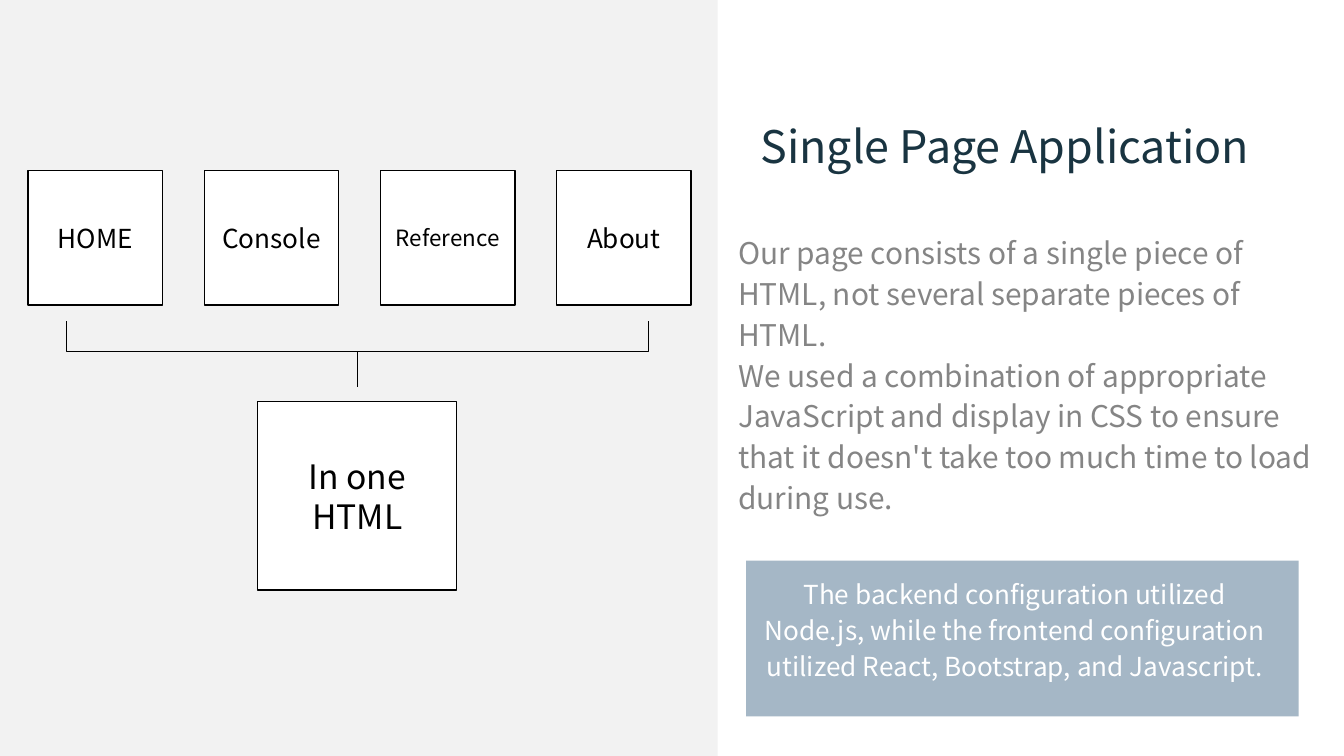
from lxml import etree
from pptx import Presentation
from pptx.dml.color import RGBColor
from pptx.enum import shapes, text
from pptx.oxml import ns
from pptx.util import Pt

FONT = "Noto Sans CJK KR"
COLORS = {
    "panel": "F2F2F2", "callout": "A5B7C6", "title": "193441",
    "body": "858585", "white": "FFFFFF", "black": "000000",
}
INSET = 7.2
LEFT, CENTER = text.PP_ALIGN.LEFT, text.PP_ALIGN.CENTER
TOP, MIDDLE = text.MSO_ANCHOR.TOP, text.MSO_ANCHOR.MIDDLE

PAGES = [("HOME", 14), ("Console", 14), ("Reference", 12), ("About", 14)]
BODY = [
    "Our page consists of a single piece of HTML, not several separate pieces of HTML.",
    "We used a combination of appropriate JavaScript and display in CSS to ensure "
    "that it doesn't take too much time to load during use.",
]
CALLOUT = [
    "The backend configuration utilized Node.js, while the frontend configuration "
    "utilized React, Bootstrap, and Javascript."
]


def color(name):
    return RGBColor.from_string(COLORS[name])


def set_all(target, values):
    for name, value in values.items():
        setattr(target, name, value)


def write(shape, lines, size, color_name, align=LEFT, anchor=TOP, spacing=1.0):
    """Fill a shape with one paragraph for each line."""
    frame = shape.text_frame
    set_all(frame, {
        "word_wrap": True, "auto_size": text.MSO_AUTO_SIZE.NONE,
        "vertical_anchor": anchor,
        "margin_left": Pt(INSET), "margin_right": Pt(INSET),
        "margin_top": Pt(INSET), "margin_bottom": Pt(INSET),
    })
    for index, line in enumerate(lines):
        paragraph = frame.add_paragraph() if index else frame.paragraphs[0]
        set_all(paragraph, {
            "alignment": align, "line_spacing": spacing,
            "space_before": Pt(0), "space_after": Pt(0),
        })
        run = paragraph.add_run()
        run.text = line
        set_all(run.font, {"name": FONT, "size": Pt(size)})
        run.font.color.rgb = color(color_name)


def outline(line):
    line.color.rgb = color("black")
    line.width = Pt(0.75)


def add_box(slide, box, fill=None, outlined=False, kind=shapes.MSO_SHAPE.RECTANGLE):
    shape = slide.shapes.add_shape(kind, *map(Pt, box))
    shape.shadow.inherit = False
    if fill:
        shape.fill.solid()
        shape.fill.fore_color.rgb = color(fill)
    else:
        shape.fill.background()
    if outlined:
        outline(shape.line)
    else:
        shape.line.fill.background()
    return shape


def add_card(slide, box, label, size):
    card = add_box(slide, box, "white", outlined=True)
    write(card, [label], size, "black", CENTER, MIDDLE)


def add_bracket(slide, left, top, width, height):
    """Draw a square bracket that opens upwards."""
    center_x, center_y = left + width / 2, top + height / 2
    box = (center_x - height / 2, center_y - width / 2, height, width)
    bracket = add_box(slide, box, outlined=True, kind=shapes.MSO_SHAPE.LEFT_BRACKET)
    bracket.rotation = 270
    bracket.adjustments[0] = 0


def add_stem(slide, x, top, bottom):
    stem = slide.shapes.add_connector(
        shapes.MSO_CONNECTOR.STRAIGHT, Pt(x), Pt(top), Pt(x), Pt(bottom))
    outline(stem.line)
    etree.SubElement(stem._element.spPr, ns.qn("a:effectLst"))


def add_diagram(slide, left, top, width, height):
    """Show the pages in a row, joined into one HTML file below."""
    add_box(slide, (left, top, width, height), "panel")
    card, pitch, margin = 72, 94.4, 15.1
    row_top = top + 91.4
    for index, (label, size) in enumerate(PAGES):
        add_card(slide, (left + margin + index * pitch, row_top, card, card), label, size)
    center = left + margin + (3 * pitch + card) / 2 - 1.3
    bracket_width = 311.8
    add_bracket(slide, center - bracket_width / 2, row_top + 80.6, bracket_width, 16.2)
    add_stem(slide, center, row_top + 96.8, row_top + 115.8)
    add_card(slide, (center - 53.3, row_top + 123.8, 106.6, 101), "In one HTML", 18)


def add_description(slide, left, top, width):
    """Set the title, the body text and the callout in the right column."""
    title = slide.shapes.title
    set_all(title, {"left": Pt(left + 11.9), "top": Pt(top),
                    "width": Pt(width - 30), "height": Pt(71.3)})
    write(title, ["Single Page Application"], 24, "title")

    body = slide.shapes.add_textbox(Pt(left), Pt(top + 59.8), Pt(width), Pt(144.7))
    write(body, BODY, 16, "body", spacing=1.14)

    callout_top = top + 244.2
    add_box(slide, (left + 11.4, callout_top, 296, 83.5), "callout")
    callout = slide.shapes.add_textbox(
        Pt(left + 11.9), Pt(callout_top), Pt(286.6), Pt(71.3))
    write(callout, CALLOUT, 14, "white", CENTER, spacing=1.14)


def main():
    presentation = Presentation()
    set_all(presentation, {"slide_width": Pt(720), "slide_height": Pt(405)})
    slide = presentation.slides.add_slide(presentation.slide_layouts[5])
    add_diagram(slide, 0, 0, 384.5, 405)
    add_description(slide, 388.4, 56.2, 325.4)
    presentation.save("out.pptx")


if __name__ == "__main__":
    main()
